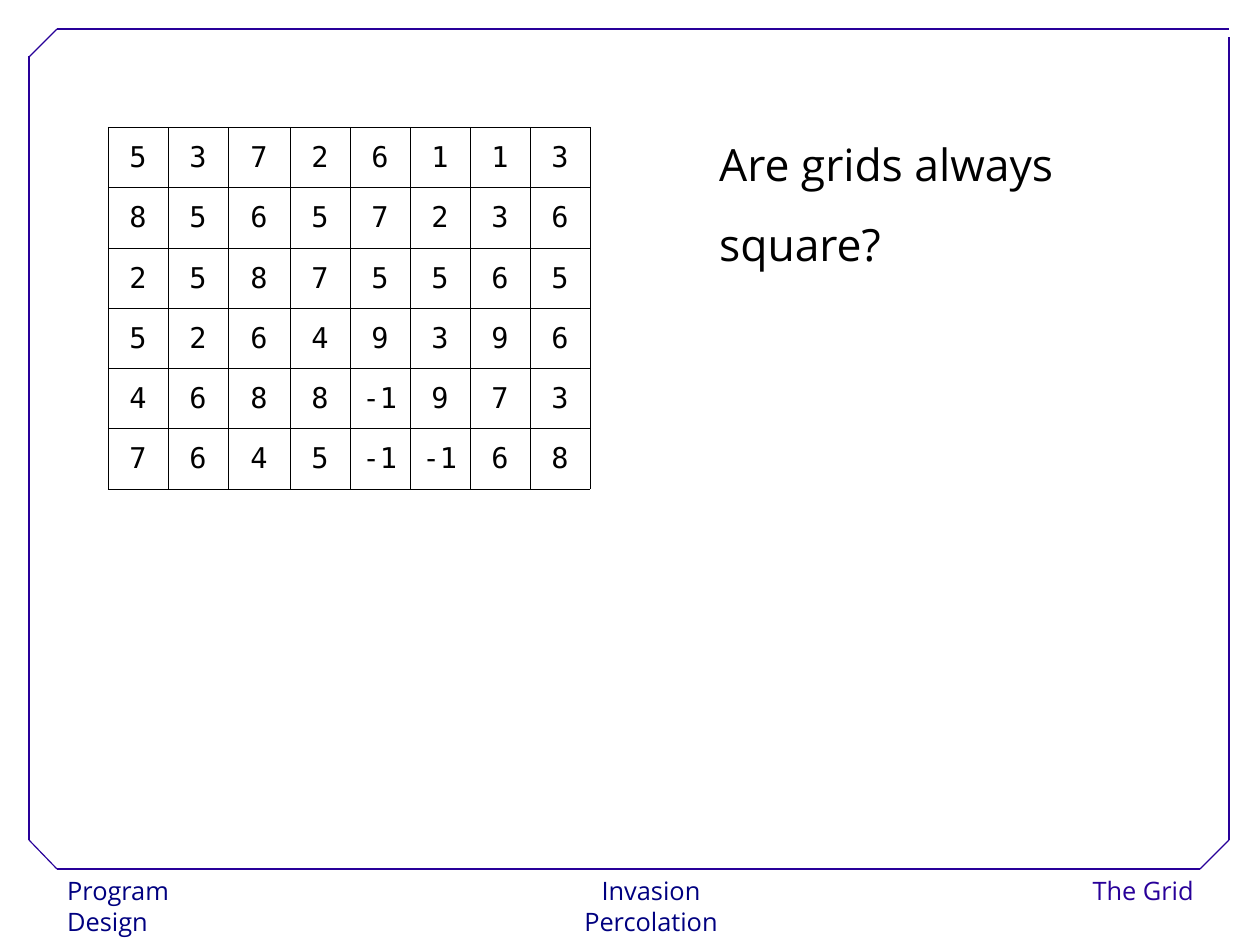
from lxml import etree
from pptx import Presentation
from pptx.dml.color import RGBColor
from pptx.enum.shapes import MSO_CONNECTOR
from pptx.enum.text import MSO_ANCHOR, MSO_AUTO_SIZE, PP_ALIGN
from pptx.oxml.ns import qn
from pptx.util import Pt

LEFT, MID, RIGHT = PP_ALIGN.LEFT, PP_ALIGN.CENTER, PP_ALIGN.RIGHT
CENTRE = MSO_ANCHOR.MIDDLE
GROW = MSO_AUTO_SIZE.SHAPE_TO_FIT_TEXT
STRAIGHT = MSO_CONNECTOR.STRAIGHT
SANS, MONO = "Open Sans", "DejaVu Sans Mono"
COLOURS = {"white": "FFFFFF", "black": "000000", "navy": "000080", "frame": "280099"}

GRID = [
    [5, 3, 7, 2, 6, 1, 1, 3],
    [8, 5, 6, 5, 7, 2, 3, 6],
    [2, 5, 8, 7, 5, 5, 6, 5],
    [5, 2, 6, 4, 9, 3, 9, 6],
    [4, 6, 8, 8, -1, 9, 7, 3],
    [7, 6, 4, 5, -1, -1, 6, 8],
]
COLS = [60, 60, 62, 60, 60, 60, 60, 60]
ROWS = [60, 61, 60, 60, 60, 61]
ASK = ["Are grids always", "square?"]
FOOT = [
    ("Program Design", 56, 206, LEFT, "navy"),
    ("Invasion Percolation", 523, 256, MID, "navy"),
    ("The Grid", 1045, 160, RIGHT, "frame"),
]
LINES = [
    (57, 869, 1200, 869),
    (29, 840, 29, 56),
    (57, 29, 1229, 29),
    (1229, 840, 1229, 37),
    (29, 57, 57, 29),
    (1200, 869, 1229, 840),
    (29, 840, 57, 869),
]


def px(n):
    return n * 8000


def tint(name):
    return RGBColor.from_string(COLOURS[name])


def write(para, text, size, face, colour, align, space):
    para.alignment = align
    para.line_spacing = space
    run = para.add_run()
    run.text = text
    run.font.size = Pt(size)
    run.font.name = face
    run.font.color.rgb = tint(colour)


def edge(cell):
    props = cell._tc.get_or_add_tcPr()
    for i, side in enumerate(("a:lnL", "a:lnR", "a:lnT", "a:lnB")):
        line = etree.Element(qn(side), w="762")
        fill = etree.SubElement(line, qn("a:solidFill"))
        etree.SubElement(fill, qn("a:srgbClr"), val=COLOURS["black"])
        props.insert(i, line)


def box(slide, x, y, w, h):
    return slide.shapes.add_textbox(px(x), px(y), px(w), px(h))


def main():
    deck = Presentation()
    deck.slide_width, deck.slide_height = px(1260), px(945)
    slide = deck.slides.add_slide(deck.slide_layouts[6])

    for text, x, w, align, colour in FOOT:
        foot = box(slide, x, 869, w, 46)
        foot.fill.solid()
        foot.fill.fore_color.rgb = tint("white")
        foot.text_frame.word_wrap = False
        write(foot.text_frame.paragraphs[0], text, 16, SANS, colour, align, 1.02)

    for ends in LINES:
        line = slide.shapes.add_connector(STRAIGHT, *map(px, ends))
        line.line.color.rgb = tint("frame")
        line.line.width = Pt(0.75)
        etree.SubElement(line._element.spPr, qn("a:effectLst"))

    frame = box(slide, 708, 105, 363, 171).text_frame
    frame.word_wrap = False
    frame.auto_size = GROW
    for i, text in enumerate(ASK):
        para = frame.add_paragraph() if i else frame.paragraphs[0]
        write(para, text, 28, SANS, "black", LEFT, 1.5)

    table = slide.shapes.add_table(
        len(ROWS), len(COLS), px(108), px(127), px(sum(COLS)), px(sum(ROWS))
    ).table
    table.first_row = table.horz_banding = False
    for col, w in zip(table.columns, COLS):
        col.width = px(w)
    for row, h, nums in zip(table.rows, ROWS, GRID):
        row.height = px(h)
        for cell, num in zip(row.cells, nums):
            cell.fill.background()
            cell.vertical_anchor = CENTRE
            edge(cell)
            write(cell.text_frame.paragraphs[0], str(num), 18, MONO, "black", MID, 1.02)

    deck.save("out.pptx")


if __name__ == "__main__":
    main()
